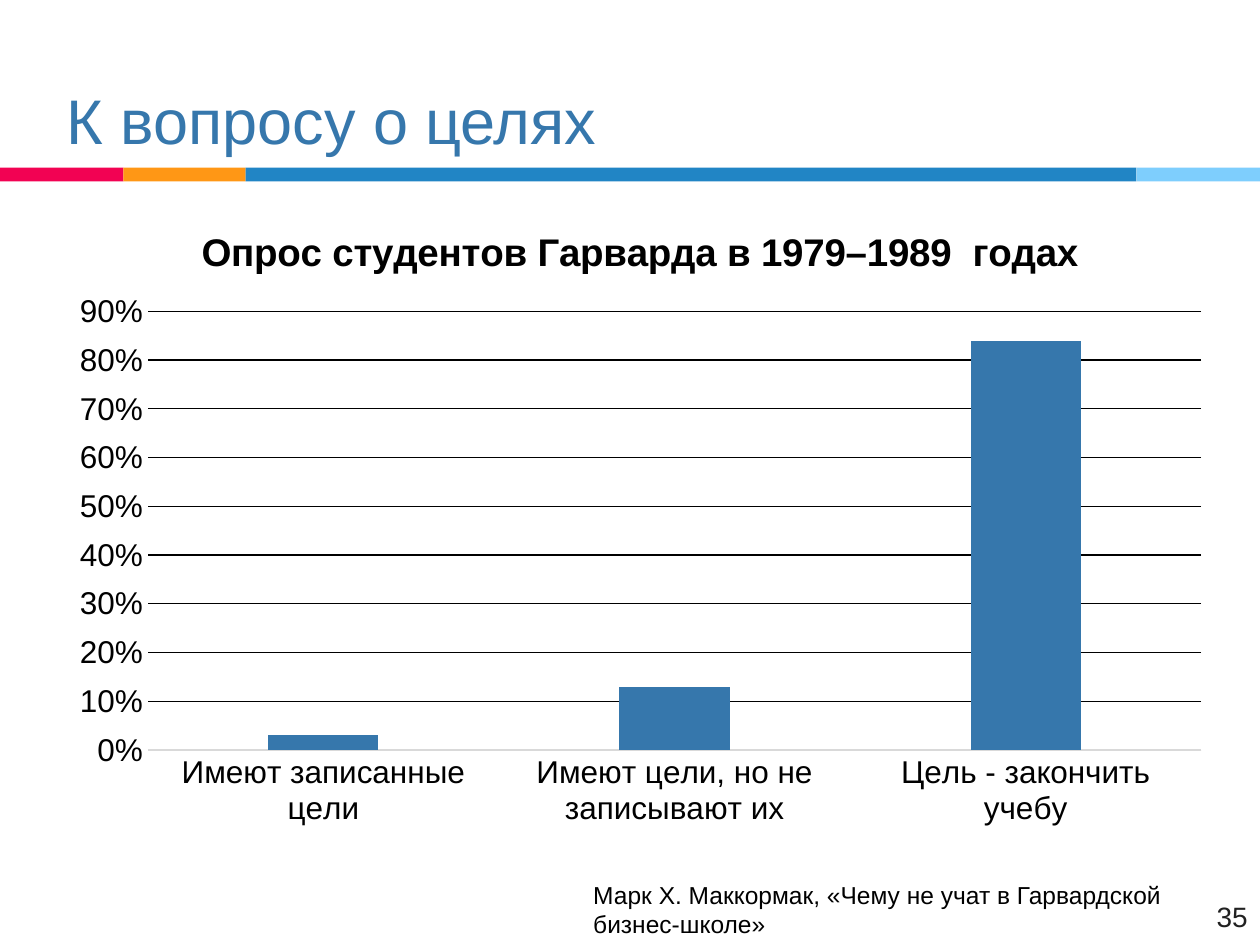
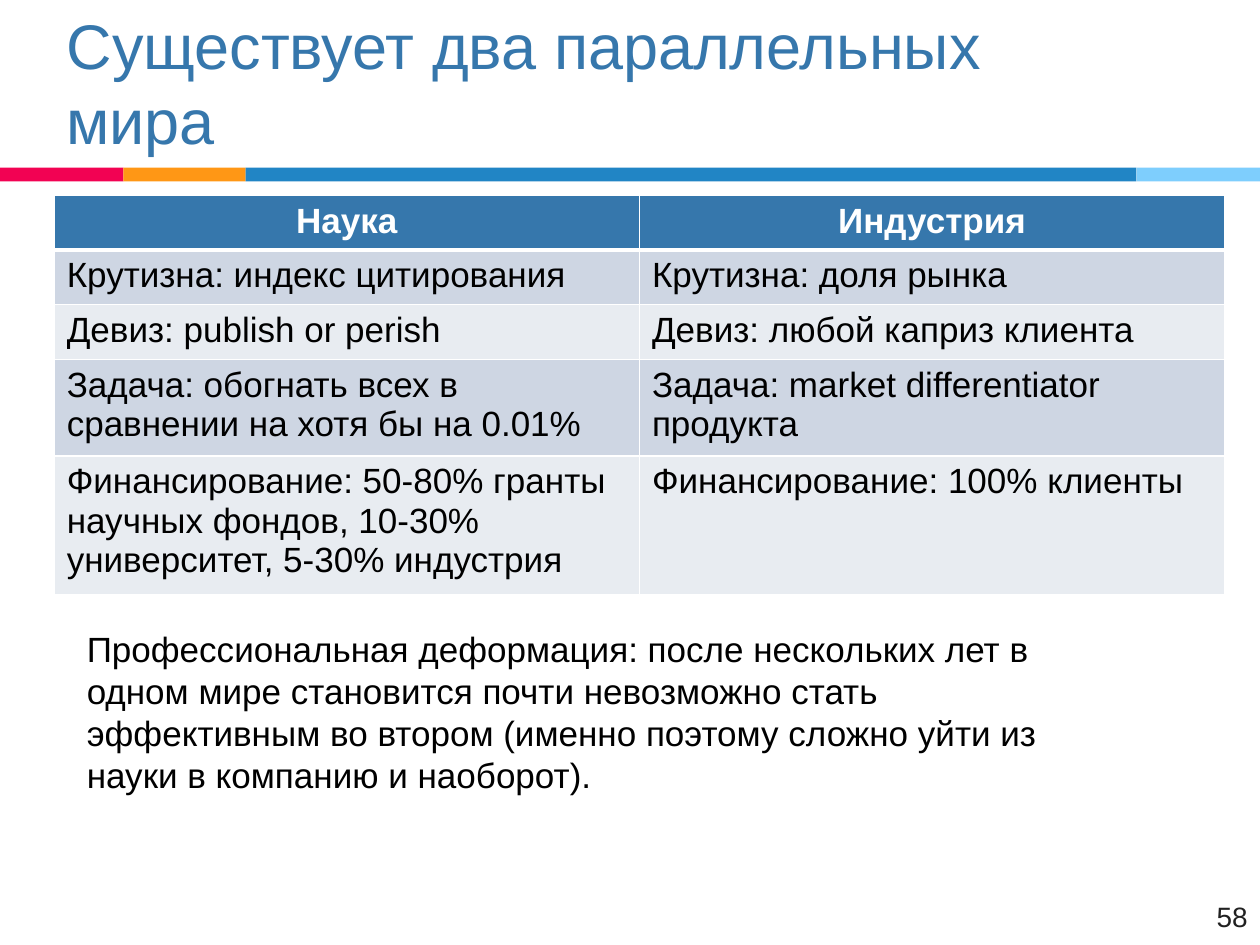
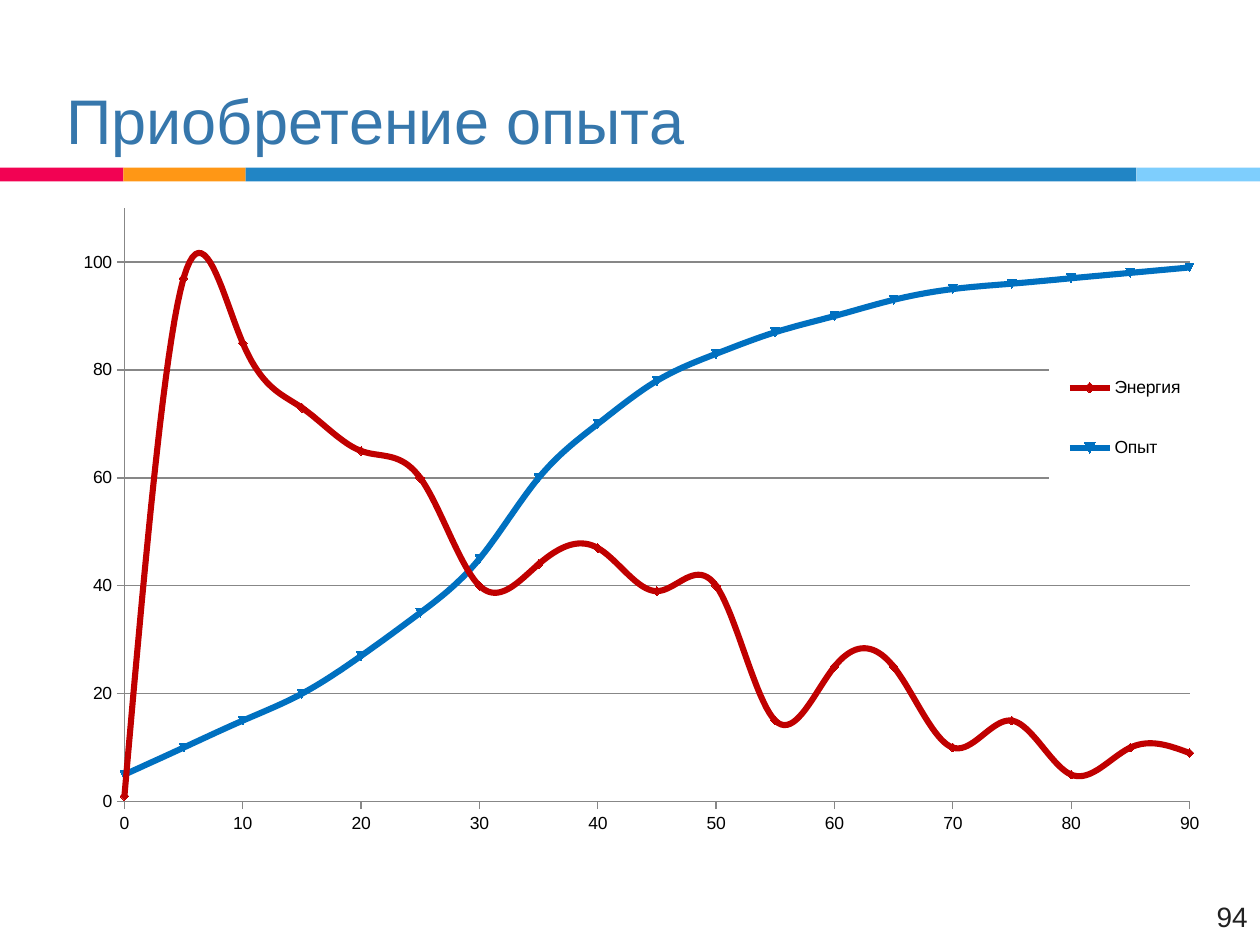
from dataclasses import dataclass

from pptx import Presentation
from pptx import util as u
from pptx.chart.data import CategoryChartData, XyChartData
from pptx.dml.color import RGBColor
from pptx.enum import chart as ch
from pptx.enum import shapes, text
from pptx.oxml.ns import qn
from pptx.oxml.xmlchemy import OxmlElement

EMU_PER_PX = 9144  # 100 px to the inch
FONT = "Arial"
COLORS = {
    "black": "000000", "white": "FFFFFF", "title": "3677AC", "number": "212121",
    "pink": "F20253", "orange": "FF9715", "blue": "2185C5", "sky": "7ECEFD",
    "row_dark": "CED6E3", "row_light": "E8ECF1",
    "axis": "D9D9D9", "gray": "878787", "energy": "C00000", "skill": "0070C0",
}


@dataclass(frozen=True)
class Area:
    left: int
    top: int
    width: int
    height: int

    def emu(self) -> list[u.Emu]:
        return [px(n) for n in (self.left, self.top, self.width, self.height)]


@dataclass(frozen=True)
class Band:
    left: int
    right: int
    color: str


@dataclass(frozen=True)
class TextStyle:
    size: int
    color: str = "black"
    bold: bool = False
    align: text.PP_ALIGN = text.PP_ALIGN.LEFT
    anchor: text.MSO_ANCHOR = text.MSO_ANCHOR.TOP


@dataclass(frozen=True)
class Curve:
    name: str
    color: str
    values: tuple[int, ...]


TITLE = Area(43, 5, 834, 125)
CONTENT = Area(43, 155, 929, 512)
NUMBER = Area(936, 709, 64, 34)
SOURCE = Area(461, 671, 472, 79)
REMARK = Area(59, 493, 835, 145)
BAND_TOP, BAND_HEIGHT, ROW_HEIGHT = 133, 11, 41
BANDS = (Band(0, 98, "pink"), Band(98, 195, "orange"),
         Band(195, 902, "blue"), Band(902, 1000, "sky"))

TITLE_STYLE = TextStyle(36, "title", anchor=text.MSO_ANCHOR.BOTTOM)
NUMBER_STYLE = TextStyle(16, "number", align=text.PP_ALIGN.RIGHT)
SOURCE_STYLE = TextStyle(14, anchor=text.MSO_ANCHOR.BOTTOM)
BODY_STYLE = TextStyle(20)
HEAD_STYLE = TextStyle(20, "white", True, text.PP_ALIGN.CENTER)

SURVEY = {"Имеют записанные цели": 0.03,
          "Имеют цели, но не записывают их": 0.13,
          "Цель - закончить учебу": 0.84}
WORLDS = (
    ("Наука", "Индустрия"),
    ("Крутизна: индекс цитирования", "Крутизна: доля рынка"),
    ("Девиз: publish or perish", "Девиз: любой каприз клиента"),
    ("Задача: обогнать всех в сравнении на хотя бы на 0.01%",
     "Задача: market differentiator продукта"),
    ("Финансирование: 50-80% гранты научных фондов, 10-30% университет, "
     "5-30% индустрия", "Финансирование: 100% клиенты"),
)
CURVES = (
    Curve("Энергия", "energy", (1, 97, 85, 73, 65, 60, 40, 44, 47, 39, 40, 15,
                                25, 25, 10, 15, 5, 10, 9)),
    Curve("Опыт", "skill", (5, 10, 15, 20, 27, 35, 45, 60, 70, 78, 83, 87,
                            90, 93, 95, 96, 97, 98, 99)),
)


def px(length: int) -> u.Emu:
    return u.Emu(length * EMU_PER_PX)


def rgb(name: str) -> RGBColor:
    return RGBColor.from_string(COLORS[name])


def set_all(target, values: dict) -> None:
    for name, value in values.items():
        setattr(target, name, value)


def set_font(font, size: int, color: str = "black", bold: bool = False) -> None:
    set_all(font, {"name": FONT, "size": u.Pt(size), "bold": bold})
    font.color.rgb = rgb(color)


def set_line(line, color: str, width: float = 0.75) -> None:
    line.color.rgb = rgb(color)
    line.width = u.Pt(width)


def write(frame, words: str, style: TextStyle) -> None:
    para = frame.paragraphs[0]
    para.alignment = style.align
    span = para.add_run()
    span.text = words
    set_font(span.font, style.size, style.color, style.bold)


def add_text(page, area: Area, words: str, style: TextStyle) -> None:
    frame = page.shapes.add_textbox(*area.emu()).text_frame
    set_all(frame, {"word_wrap": True, "vertical_anchor": style.anchor})
    write(frame, words, style)


def add_page(deck, title: str, number: int):
    """Add a page with the shared bands, title and page number."""
    page = deck.slides.add_slide(deck.slide_layouts[6])
    for band in BANDS:
        area = Area(band.left, BAND_TOP, band.right - band.left, BAND_HEIGHT)
        box = page.shapes.add_shape(shapes.MSO_SHAPE.RECTANGLE, *area.emu())
        box.shadow.inherit = False
        box.fill.solid()
        box.fill.fore_color.rgb = rgb(band.color)
        box.line.fill.background()
    add_text(page, TITLE, title, TITLE_STYLE)
    add_text(page, NUMBER, str(number), NUMBER_STYLE)
    return page


def add_xml(parent, tag: str, **attributes: str):
    child = OxmlElement(tag)
    for name, value in attributes.items():
        child.set(name, value)
    parent.append(child)
    return child


def place(part, index: int, inner: bool = False, **fractions: float) -> None:
    """Give a chart part a fixed place, as fractions of the chart."""
    for old in part.findall(qn("c:layout")):
        part.remove(old)
    layout = OxmlElement("c:layout")
    manual = add_xml(layout, "c:manualLayout")
    if inner:
        add_xml(manual, "c:layoutTarget", val="inner")
    for side in "xy":
        add_xml(manual, f"c:{side}Mode", val="edge")
    for name, value in fractions.items():
        add_xml(manual, f"c:{name}", val=str(value))
    part.insert(index, layout)


def add_chart(page, kind: ch.XL_CHART_TYPE, data):
    chart = page.shapes.add_chart(kind, *CONTENT.emu(), data).chart
    set_font(chart.font, 10)
    chart.has_legend = chart.has_title = False
    chart.plots[0].vary_by_categories = False
    return chart


def plot_area(chart):
    return chart._chartSpace.chart.plotArea


def add_survey_chart(page) -> None:
    data = CategoryChartData(number_format="0%")
    data.categories = list(SURVEY)
    data.add_series("Series 1", list(SURVEY.values()))
    chart = add_chart(page, ch.XL_CHART_TYPE.COLUMN_CLUSTERED, data)
    chart.has_title = True
    write(chart.chart_title.text_frame, "Опрос студентов Гарварда в 1979–1989  годах",
          TextStyle(22, bold=True, align=text.PP_ALIGN.CENTER))
    place(chart.chart_title._element, 1, x=0.12, y=0.04)
    place(plot_area(chart), 0, True, x=0.08, y=0.18, w=0.9, h=0.68)

    set_all(chart.plots[0], {"gap_width": 219, "overlap": -27})
    fill = chart.plots[0].series[0].format.fill
    fill.solid()
    fill.fore_color.rgb = rgb("title")

    for axis in (chart.category_axis, chart.value_axis):
        axis.major_tick_mark = ch.XL_TICK_MARK.NONE
        set_font(axis.tick_labels.font, 18)
    set_line(chart.category_axis.format.line, "axis")
    values = chart.value_axis
    set_all(values, {"minimum_scale": 0, "maximum_scale": 0.9, "major_unit": 0.1})
    set_all(values.tick_labels, {"number_format": "0%", "number_format_is_linked": False})
    values.format.line.fill.background()
    set_line(values.major_gridlines.format.line, "black")


def add_border(cell, side: str, width: int) -> None:
    line = add_xml(cell._tc.get_or_add_tcPr(), f"a:ln{side}", w=str(u.Pt(width)))
    add_xml(add_xml(line, "a:solidFill"), "a:srgbClr", val=COLORS["white"])


def add_worlds_table(page) -> None:
    area = Area(CONTENT.left, CONTENT.top, CONTENT.width, ROW_HEIGHT * len(WORLDS))
    table = page.shapes.add_table(len(WORLDS), 2, *area.emu()).table
    for r, row in enumerate(WORLDS):
        fill = "title" if r == 0 else ("row_light", "row_dark")[r % 2]
        for c, words in enumerate(row):
            cell = table.cell(r, c)
            for side in "LRTB":
                edge = (r == 0 and side == "B") or (r == 1 and side == "T")
                add_border(cell, side, 3 if edge else 1)
            cell.fill.solid()
            cell.fill.fore_color.rgb = rgb(fill)
            write(cell.text_frame, words, BODY_STYLE if r else HEAD_STYLE)


def add_experience_chart(page) -> None:
    data = XyChartData()
    for curve in CURVES:
        points = data.add_series(curve.name)
        for step, value in enumerate(curve.values):
            points.add_data_point(step * 5, value)
    chart = add_chart(page, ch.XL_CHART_TYPE.XY_SCATTER_SMOOTH, data)
    place(plot_area(chart), 0, True, x=0.06, y=0.02, w=0.91, h=0.92)

    for curve, series in zip(CURVES, chart.plots[0].series):
        series._element.find(qn("c:smooth")).set("val", "1")
        set_line(series.format.line, curve.color, 3.5)
        marker = series.marker
        set_all(marker, {"style": ch.XL_MARKER_STYLE.AUTOMATIC, "size": 5})
        marker.format.fill.solid()
        marker.format.fill.fore_color.rgb = rgb(curve.color)
        set_line(marker.format.line, curve.color)

    for axis, top, step in ((chart.category_axis, 90, 10), (chart.value_axis, 110, 20)):
        set_all(axis, {"minimum_scale": 0, "maximum_scale": top, "major_unit": step,
                       "major_tick_mark": ch.XL_TICK_MARK.OUTSIDE})
        set_all(axis.tick_labels, {"number_format": "General",
                                   "number_format_is_linked": False})
        set_font(axis.tick_labels.font, 10)
        set_line(axis.format.line, "gray")
    chart.category_axis.has_major_gridlines = False
    set_line(chart.value_axis.major_gridlines.format.line, "gray")

    # White legend over the right end of the plot
    chart.has_legend = True
    legend = chart.legend
    set_all(legend, {"position": ch.XL_LEGEND_POSITION.RIGHT, "include_in_layout": False})
    set_font(legend.font, 10)
    place(legend._element, 1, x=0.85, y=0.22, w=0.13, h=0.25)
    back = OxmlElement("c:spPr")
    add_xml(add_xml(back, "a:solidFill"), "a:srgbClr", val=COLORS["white"])
    legend._element.find(qn("c:overlay")).addnext(back)


def main() -> None:
    deck = Presentation()
    set_all(deck, {"slide_width": px(1000), "slide_height": px(750)})

    # Goals survey
    page = add_page(deck, "К вопросу о целях", 35)
    add_survey_chart(page)
    add_text(page, SOURCE, "Марк Х. Маккормак, «Чему не учат в Гарвардской бизнес-школе»",
             SOURCE_STYLE)

    # Science and industry
    page = add_page(deck, "Существует два параллельных мира", 58)
    add_worlds_table(page)
    add_text(page, REMARK, "Профессиональная деформация: после нескольких лет в одном мире "
             "становится почти невозможно стать эффективным во втором (именно поэтому "
             "сложно уйти из науки в компанию и наоборот).", BODY_STYLE)

    # Energy and experience by age
    page = add_page(deck, "Приобретение опыта", 94)
    add_experience_chart(page)

    deck.save("out.pptx")


if __name__ == "__main__":
    main()
